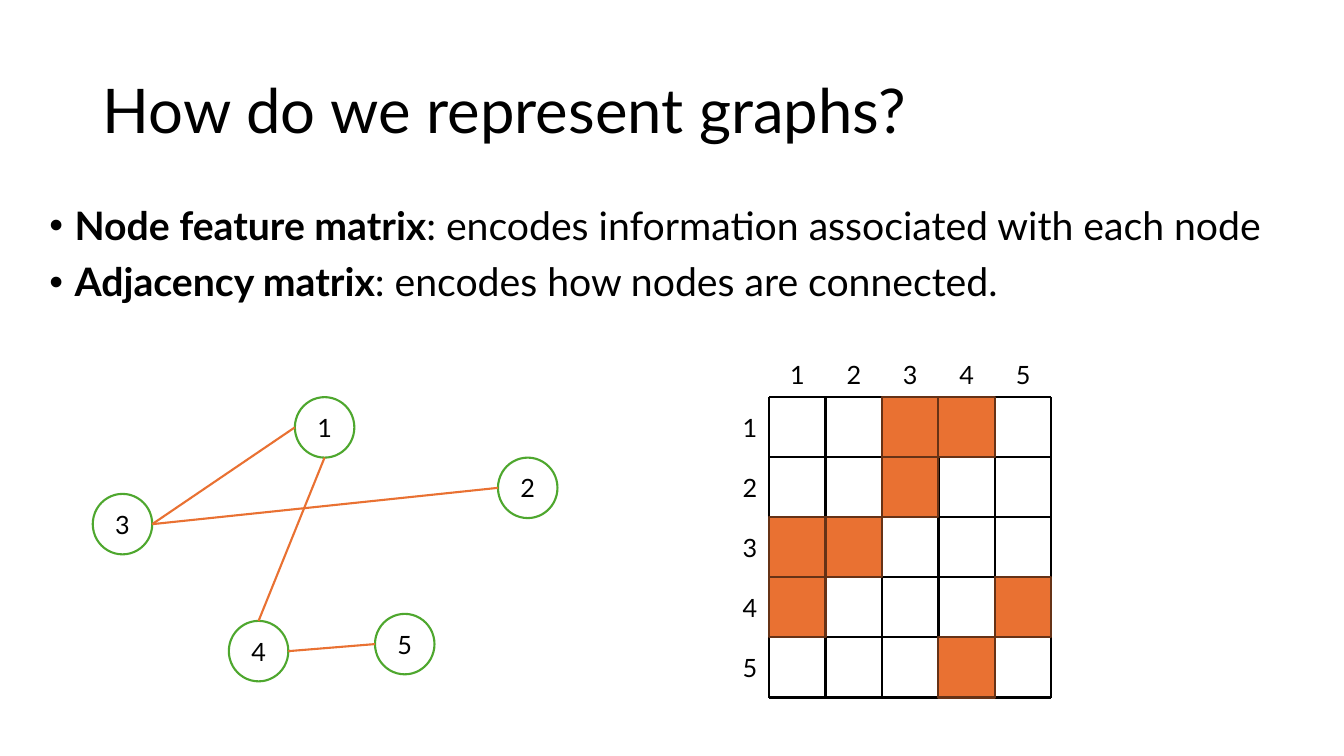
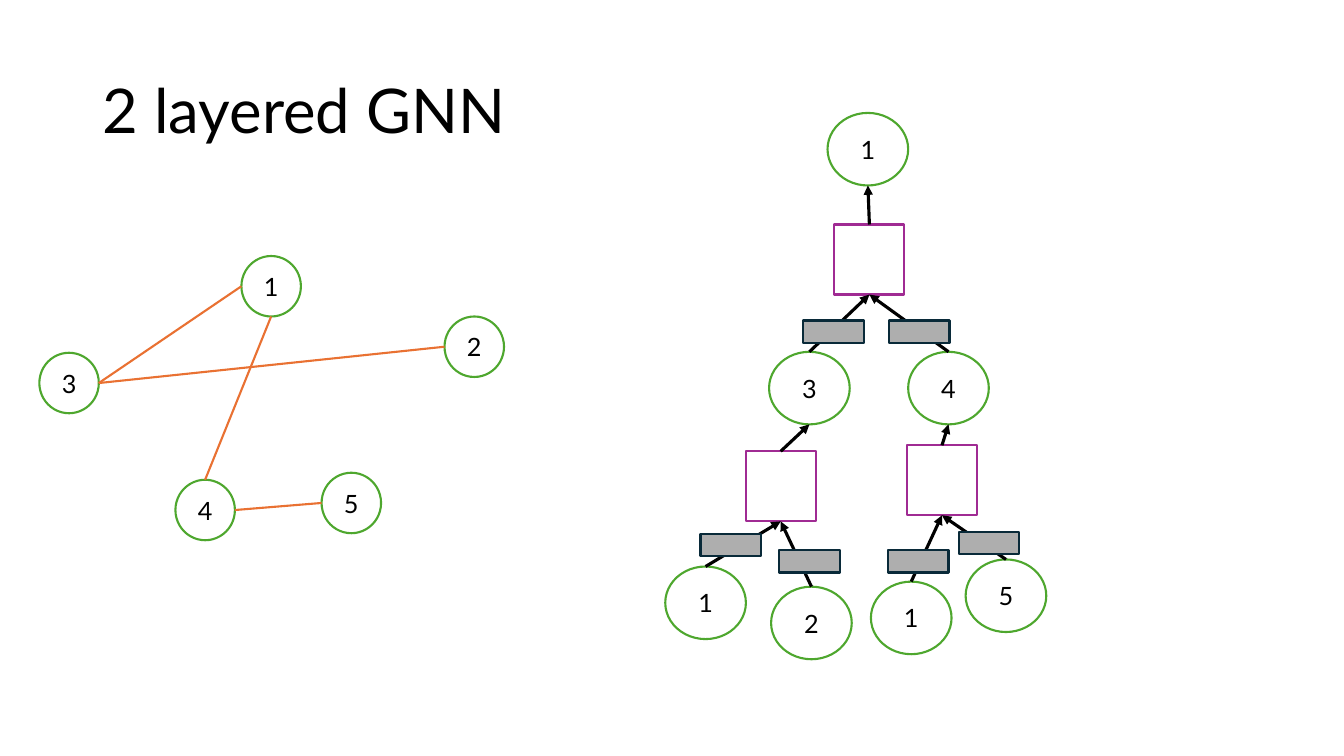
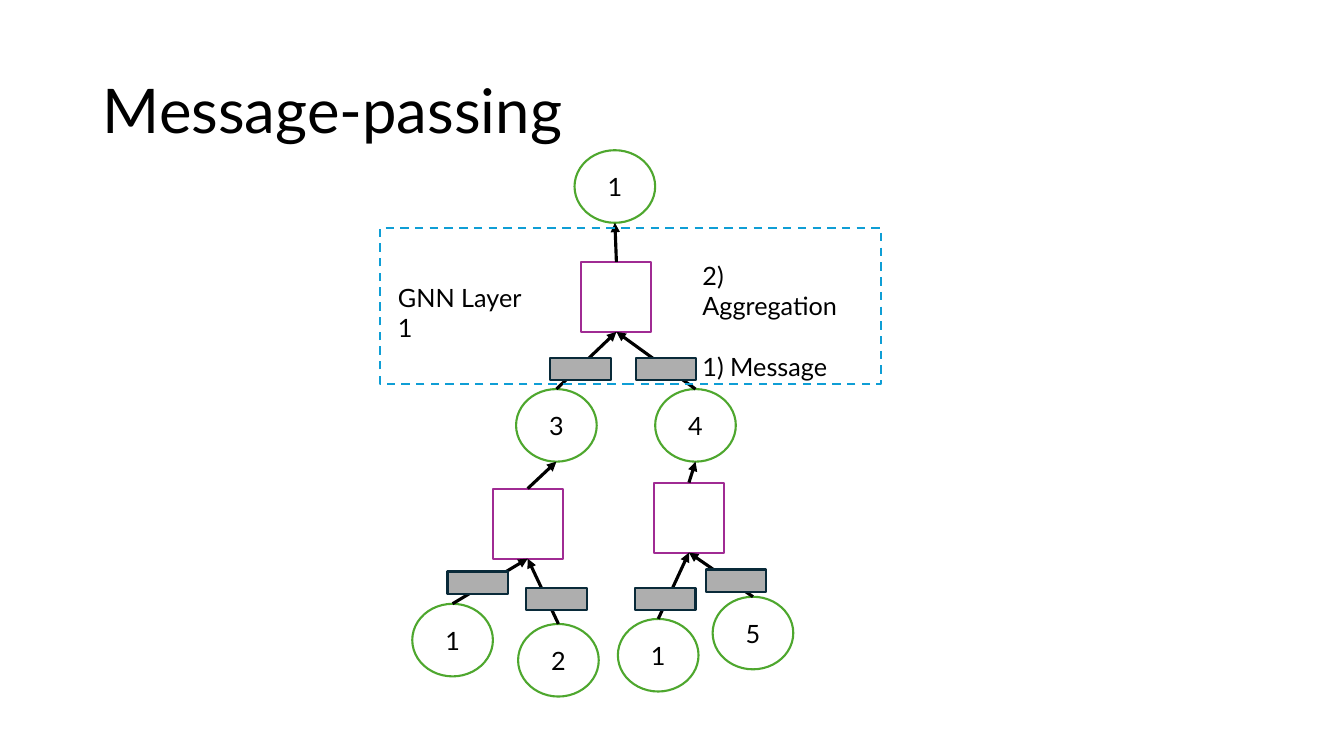
"""Build three slides on graphs, layered GNNs and message passing."""
import lxml.etree
import pptx
import pptx.dml.color
import pptx.enum.dml
import pptx.enum.shapes
import pptx.enum.text
import pptx.oxml.ns
import pptx.util


class Theme:
    font = "Lato"
    ink = "000000"
    white = "FFFFFF"
    green = "4EA72E"
    orange = "E97132"
    brown = "663216"
    plum = "A02B93"
    gray = "AEAEAE"
    navy = "092A39"
    blue = "0F9ED5"
    head = 44
    body = 28
    note = 18
    thin = 1.5
    thick = 2.25


CELL = pptx.util.Inches(0.1)
COLS, ROWS = 133.33, 75
SHAPE = pptx.enum.shapes.MSO_SHAPE
ALIGN = pptx.enum.text.PP_ALIGN
RGB = pptx.dml.color.RGBColor.from_string


def write(para, text, size=Theme.note, bold=False, align=ALIGN.LEFT, space=0, lead=1.0):
    para.alignment = align
    para.space_before = pptx.util.Pt(space)
    para.line_spacing = lead
    run = para.add_run()
    run.text = text
    run.font.name = Theme.font
    run.font.size = pptx.util.Pt(size)
    run.font.bold = bold
    run.font.color.rgb = RGB(Theme.ink)


def draw(page, kind, pos, ext, line=None, fill=None, width=Theme.thin, arrow=False, dash=False):
    """Place a shape by centre and size, or a line by its two ends."""
    if kind == "line":
        ends = [int(n * CELL) for n in (*pos, *ext)]
        item = page.shapes.add_connector(pptx.enum.shapes.MSO_CONNECTOR.STRAIGHT, *ends)
        lxml.etree.SubElement(item._element.spPr, pptx.oxml.ns.qn("a:effectLst"))
    else:
        left, top = (p - e / 2 for p, e in zip(pos, ext))
        area = [int(n * CELL) for n in (left, top, *ext)]
        if kind == "text":
            item = page.shapes.add_textbox(*area)
            item.text_frame.word_wrap = True
            return item
        item = page.shapes.add_shape(kind, *area)
        item.shadow.inherit = False
        if fill:
            item.fill.solid()
            item.fill.fore_color.rgb = RGB(fill)
        else:
            item.fill.background()
    item.line.color.rgb = RGB(line)
    item.line.width = pptx.util.Pt(width)
    if dash:
        item.line.dash_style = pptx.enum.dml.MSO_LINE.DASH
    if arrow:
        mark = lxml.etree.SubElement(item.line._get_or_add_ln(), pptx.oxml.ns.qn("a:tailEnd"))
        mark.set("type", "triangle")
    return item


deck = pptx.Presentation()
deck.slide_width, deck.slide_height = int(COLS * CELL), ROWS * CELL
title = deck.slide_master.placeholders[0]
title.left, title.top, title.width, title.height = [int(n * CELL) for n in (9.2, 4, 115, 14.5)]

pages = []
for text, layout in (("How do we represent graphs?", 1), ("2 layered GNN", 5), ("Message-passing", 5)):
    page = deck.slides.add_slide(deck.slide_layouts[layout])
    write(page.shapes.title.text_frame.paragraphs[0], text, size=Theme.head, lead=0.9)
    pages.append(page)
first, second, third = pages

body = first.placeholders[1]
body.left, body.top, body.width, body.height = [int(n * CELL) for n in (3.9, 20, 128, 47.6)]
terms = (
    ("Node feature matrix", ": encodes information associated with each node"),
    ("Adjacency matrix", ": encodes how nodes are connected."),
)
for i, (term, rest) in enumerate(terms):
    para = body.text_frame.paragraphs[0] if i == 0 else body.text_frame.add_paragraph()
    props = para._p.get_or_add_pPr()
    props.set("marL", str(int(2.5 * CELL)))
    props.set("indent", str(int(-2.5 * CELL)))
    for text, bold in ((term, True), (rest, False)):
        write(para, text, size=Theme.body, bold=bold, space=10 * i, lead=0.9)

dots = {1: (0, 0), 2: (20.15, 6), 3: (-20.05, 9.6), 4: (-6.55, 22.2), 5: (7.95, 21.5)}
edges = ((1, "bottom", 4, "top"), (1, "left", 3, "right"), (5, "left", 4, "right"), (2, "left", 3, "right"))
wide, high = 5.9, 6
sides = {"top": (0, -high / 2), "bottom": (0, high / 2), "left": (-wide / 2, 0), "right": (wide / 2, 0)}
for page, left, top in ((first, 32.2, 42.4), (second, 26.9, 28.4)):
    for name, (x, y) in dots.items():
        dot = draw(page, SHAPE.OVAL, (left + x, top + y), (wide, high), Theme.green, Theme.white)
        write(dot.text_frame.paragraphs[0], str(name), align=ALIGN.CENTER)
    for a, out, b, into in edges:
        ends = [
            (left + dots[n][0] + sides[s][0], top + dots[n][1] + sides[s][1])
            for n, s in ((a, out), (b, into))
        ]
        draw(page, "line", *ends, Theme.orange)

size = len(dots)
left, top, col, row = 76.3, 39.4, 5.6, 5.96
right, base = left + size * col, top + size * row
for i in range(size + 1):
    x, y = left + i * col, top + i * row
    draw(first, "line", (x, top), (x, base), Theme.ink)
    draw(first, "line", (left, y), (right, y), Theme.ink)
for i in range(size):
    for pos in ((left + (i + 0.5) * col, top - 2.2), (left - 1.9, top + (i + 0.5) * row)):
        label = draw(first, "text", pos, (3.4, 4))
        label.text_frame.word_wrap = False
        write(label.text_frame.paragraphs[0], str(i + 1), align=ALIGN.CENTER)
for a, _, b, _ in edges:
    for i, j in ((a, b), (b, a)):
        pos = (left + (j - 0.5) * col, top + (i - 0.5) * row)
        draw(first, SHAPE.RECTANGLE, pos, (col, row), Theme.brown, Theme.orange)

fans = (
    ((0, 0), (0.15, 10.95), ((3, (-5.8, 23.7), (-3.4, 18.1)), (4, (8, 23.7), (5.1, 18.1)))),
    ((-5.8, 23.7), (-8.65, 33.45), ((1, (-16.1, 45), (-13.6, 39.3)), (2, (-5.6, 47), (-5.8, 40.9)))),
    ((8, 23.7), (7.35, 32.85), ((1, (4.3, 46.5), (5, 40.9)), (5, (13.7, 44.3), (12, 39.1)))),
)
nodes = [(1, (0, 0))] + [(name, pos) for _, _, kids in fans for name, pos, _ in kids]
wide, high, side = 8, 7.2, 6.95
for page, left, top in ((second, 86.1, 14.8), (third, 61, 18.5)):
    for name, (x, y) in nodes:
        node = draw(page, SHAPE.OVAL, (left + x, top + y), (wide, high), Theme.green, Theme.white)
        write(node.text_frame.paragraphs[0], str(name), align=ALIGN.CENTER)
    for (px, py), (sx, sy), kids in fans:
        draw(page, SHAPE.RECTANGLE, (left + sx, top + sy), (side, side), Theme.plum, Theme.white)
        steps = [((sx, sy - side / 2), (px, py + high / 2))]
        steps += [((x, y - high / 2), (sx, sy + side / 2)) for _, (x, y), _ in kids]
        for (ax, ay), (bx, by) in steps:
            draw(page, "line", (left + ax, top + ay), (left + bx, top + by),
                 Theme.ink, width=Theme.thick, arrow=True)
        for _, _, (x, y) in kids:
            draw(page, SHAPE.RECTANGLE, (left + x, top + y), (6, 2.2), Theme.navy, Theme.gray)

draw(third, SHAPE.RECTANGLE, (62.55, 30.35), (49.7, 15.5), Theme.blue, dash=True)
steps = draw(third, "text", (77.45, 31.8), (17.5, 13)).text_frame
write(steps.paragraphs[0], "2) Aggregation")
write(steps.add_paragraph(), "1) Message", space=22)
layer = draw(third, "text", (46.3, 31), (15.6, 7)).text_frame
write(layer.paragraphs[0], "GNN Layer 1")

deck.save("out.pptx")
